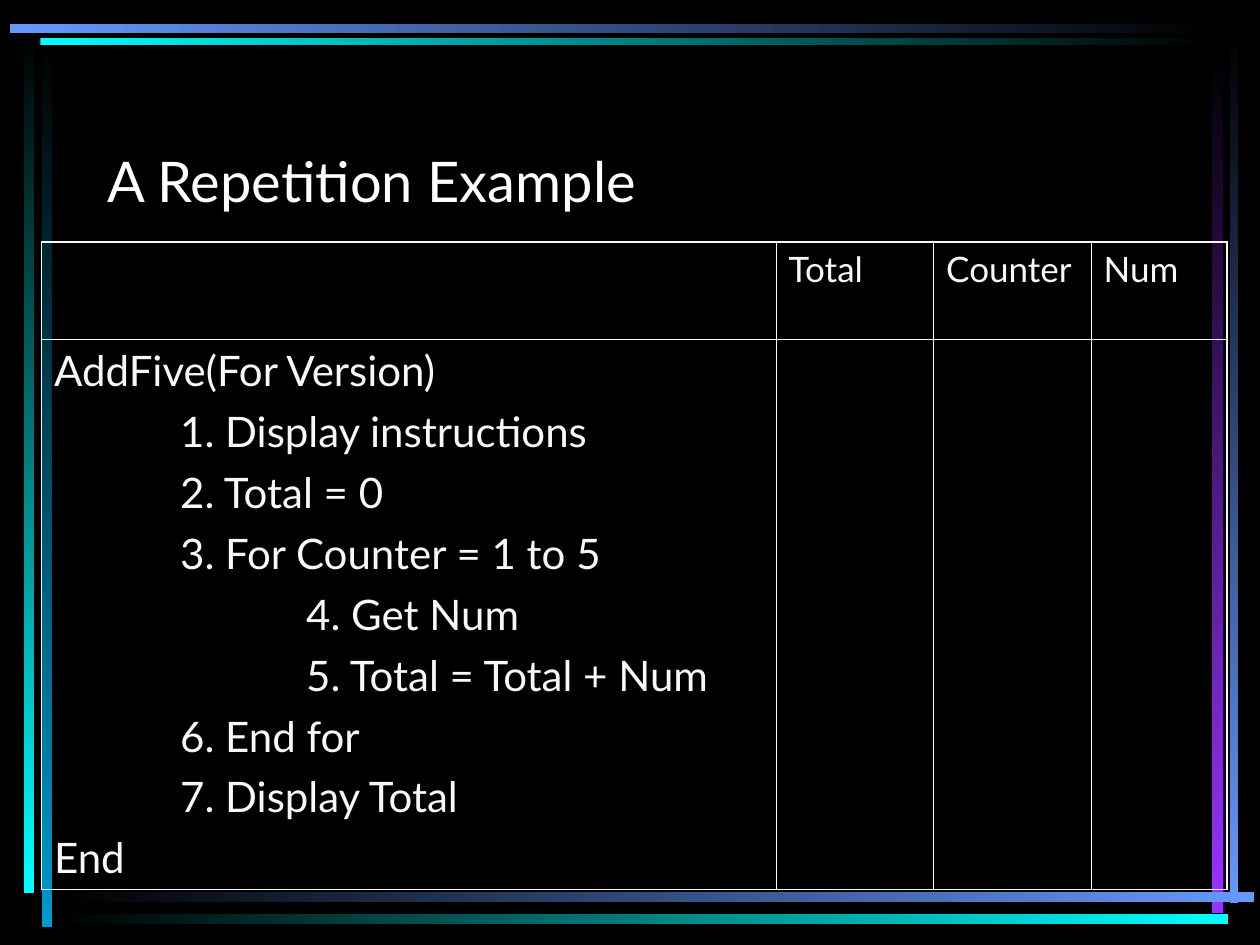
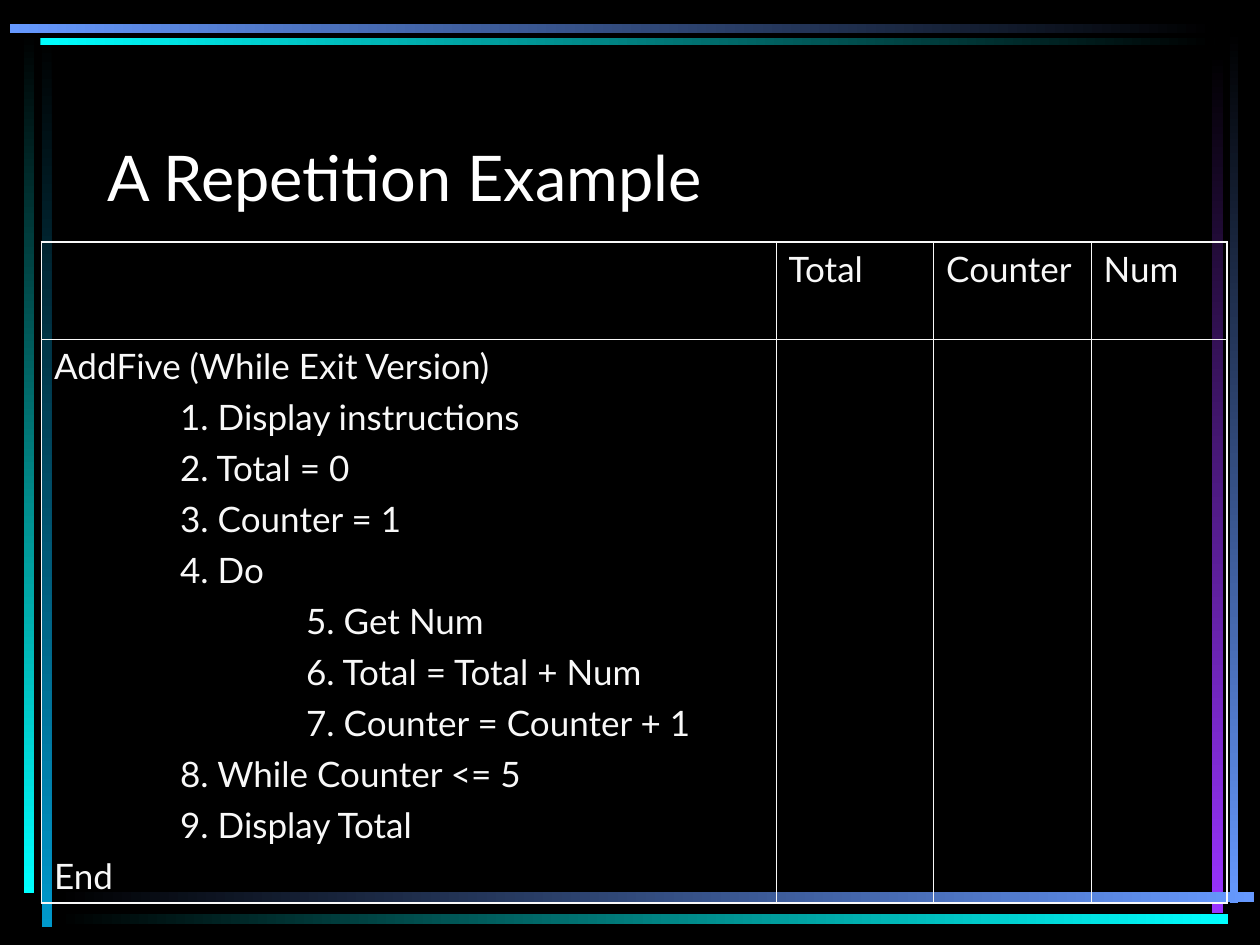
from pptx import Presentation
from pptx.dml.color import RGBColor
from pptx.enum.shapes import MSO_SHAPE
from pptx.enum.text import MSO_ANCHOR, MSO_AUTO_SIZE, PP_ALIGN
from pptx.oxml import parse_xml
from pptx.oxml.ns import nsdecls
from pptx.util import Inches, Pt

BLACK = RGBColor(0x00, 0x00, 0x00)
WHITE = RGBColor(0xFF, 0xFF, 0xFF)
OFF_WHITE = RGBColor(0xF8, 0xF8, 0xF8)
TEAL = RGBColor(0x00, 0x99, 0xCC)
CYAN = RGBColor(0x00, 0xFF, 0xFF)
BLUE = RGBColor(0x66, 0x99, 0xFF)
PURPLE = RGBColor(0x99, 0x33, 0xFF)
FONT = "Lato"
OUTER_LINE, INNER_LINE = Pt(1.08), Pt(0.45)

DOWN, RIGHT = 270, 0
FRAME_BARS = [
    ((0.33, 0.28, 0.08, 7.08), BLACK, TEAL, DOWN),
    ((0.19, 0.25, 0.08, 6.84), BLACK, CYAN, DOWN),
    ((9.76, 0.24, 0.07, 6.93), BLACK, BLUE, DOWN),
    ((9.62, 0.42, 0.09, 6.83), BLACK, PURPLE, DOWN),
    ((0.45, 7.08, 9.5, 0.08), BLACK, BLUE, RIGHT),
    ((0.45, 7.25, 9.3, 0.08), BLACK, CYAN, RIGHT),
    ((0.32, 0.3, 9.32, 0.06), CYAN, BLACK, RIGHT),
    ((0.08, 0.19, 9.56, 0.07), BLUE, BLACK, RIGHT),
]

TITLE_BOX = (0.75, 0.67, 8.5, 1.08)
TABLE_LEFT, TABLE_TOP = 0.33, 1.92
COLUMN_WIDTHS = (5.83, 1.25, 1.25, 1.08)
HEADER_HEIGHT = 0.77
VARIABLES = ("Total", "Counter", "Num")

FOR_VERSION = [
    (0, "AddFive(For Version)"),
    (1, "1. Display instructions"),
    (1, "2. Total = 0"),
    (1, "3. For Counter = 1 to 5"),
    (2, "4. Get Num"),
    (2, "5. Total = Total + Num"),
    (1, "6. End for"),
    (1, "7. Display Total"),
    (0, "End"),
]
WHILE_VERSION = [
    (0, "AddFive (While Exit Version)"),
    (1, "1. Display instructions"),
    (1, "2. Total = 0"),
    (1, "3. Counter = 1"),
    (1, "4. Do"),
    (2, "5. Get Num"),
    (2, "6. Total = Total + Num"),
    (2, "7. Counter = Counter + 1"),
    (1, "8. While Counter <= 5"),
    (1, "9. Display Total"),
    (0, "End"),
]


def write_text(text_frame, lines, size, color=OFF_WHITE, space_before=0):
    for index, (depth, text) in enumerate(lines):
        paragraph = text_frame.paragraphs[0] if index == 0 else text_frame.add_paragraph()
        paragraph.alignment = PP_ALIGN.LEFT
        paragraph.space_before = Pt(space_before if index else 0)
        if depth:
            paragraph._p.get_or_add_pPr().set("marL", str(Inches(depth)))
        run = paragraph.add_run()
        run.text = text
        run.font.name = FONT
        run.font.size = Pt(size)
        run.font.color.rgb = color


def add_frame(slide):
    for box, start, end, angle in FRAME_BARS:
        bar = slide.shapes.add_shape(MSO_SHAPE.RECTANGLE, *map(Inches, box))
        bar.shadow.inherit = False
        bar.line.fill.background()
        bar.fill.gradient()
        bar.fill.gradient_angle = angle
        for stop, color in zip(bar.fill.gradient_stops, (start, end)):
            stop.color.rgb = color


def place_title(slide, text, box, size):
    title = slide.shapes.title
    title.left, title.top, title.width, title.height = map(Inches, box)
    title.text_frame.auto_size = MSO_AUTO_SIZE.NONE
    title.text_frame.word_wrap = True
    title.text_frame.vertical_anchor = MSO_ANCHOR.BOTTOM
    write_text(title.text_frame, [(0, text)], size, WHITE)


def set_borders(cell, outer_sides):
    properties = cell._tc.get_or_add_tcPr()
    for index, side in enumerate("LRTB"):
        width = OUTER_LINE if side in outer_sides else INNER_LINE
        properties.insert(index, parse_xml(
            f'<a:ln{side} {nsdecls("a")} w="{width}"><a:solidFill>'
            f'<a:srgbClr val="{OFF_WHITE}"/></a:solidFill></a:ln{side}>'))


def add_trace_table(slide, left, top, steps, size, space_before, body_height):
    row_heights = (HEADER_HEIGHT, body_height)
    table = slide.shapes.add_table(
        len(row_heights), len(COLUMN_WIDTHS), Inches(left), Inches(top),
        Inches(sum(COLUMN_WIDTHS)), Inches(sum(row_heights))).table
    table.first_row = table.horz_banding = False
    for column, width in zip(table.columns, COLUMN_WIDTHS):
        column.width = Inches(width)
    last_column = len(COLUMN_WIDTHS) - 1
    for row_index, height in enumerate(row_heights):
        table.rows[row_index].height = Inches(height)
        for column_index in range(len(COLUMN_WIDTHS)):
            cell = table.cell(row_index, column_index)
            cell.fill.background()
            outer_sides = "B" if row_index else "T"
            outer_sides += {0: "L", last_column: "R"}.get(column_index, "")
            set_borders(cell, outer_sides)
    for column_index, name in enumerate(VARIABLES, start=1):
        write_text(table.cell(0, column_index).text_frame, [(0, name)], 20)
    write_text(table.cell(1, 0).text_frame, steps, size, space_before=space_before)


def add_example_slide(presentation, steps, title_size, step_size, space_before, body_height):
    slide = presentation.slides.add_slide(presentation.slide_layouts[5])
    add_frame(slide)
    place_title(slide, "A Repetition Example", TITLE_BOX, title_size)
    add_trace_table(slide, TABLE_LEFT, TABLE_TOP, steps, step_size, space_before, body_height)


def main():
    presentation = Presentation()
    presentation.slide_width, presentation.slide_height = Inches(10), Inches(7.5)
    background = presentation.slide_master.background.fill
    background.solid()
    background.fore_color.rgb = BLACK
    add_example_slide(presentation, FOR_VERSION, title_size=32, step_size=24,
                      space_before=6, body_height=4.37)
    add_example_slide(presentation, WHILE_VERSION, title_size=36, step_size=20,
                      space_before=5, body_height=4.46)
    presentation.save("out.pptx")


if __name__ == "__main__":
    main()
